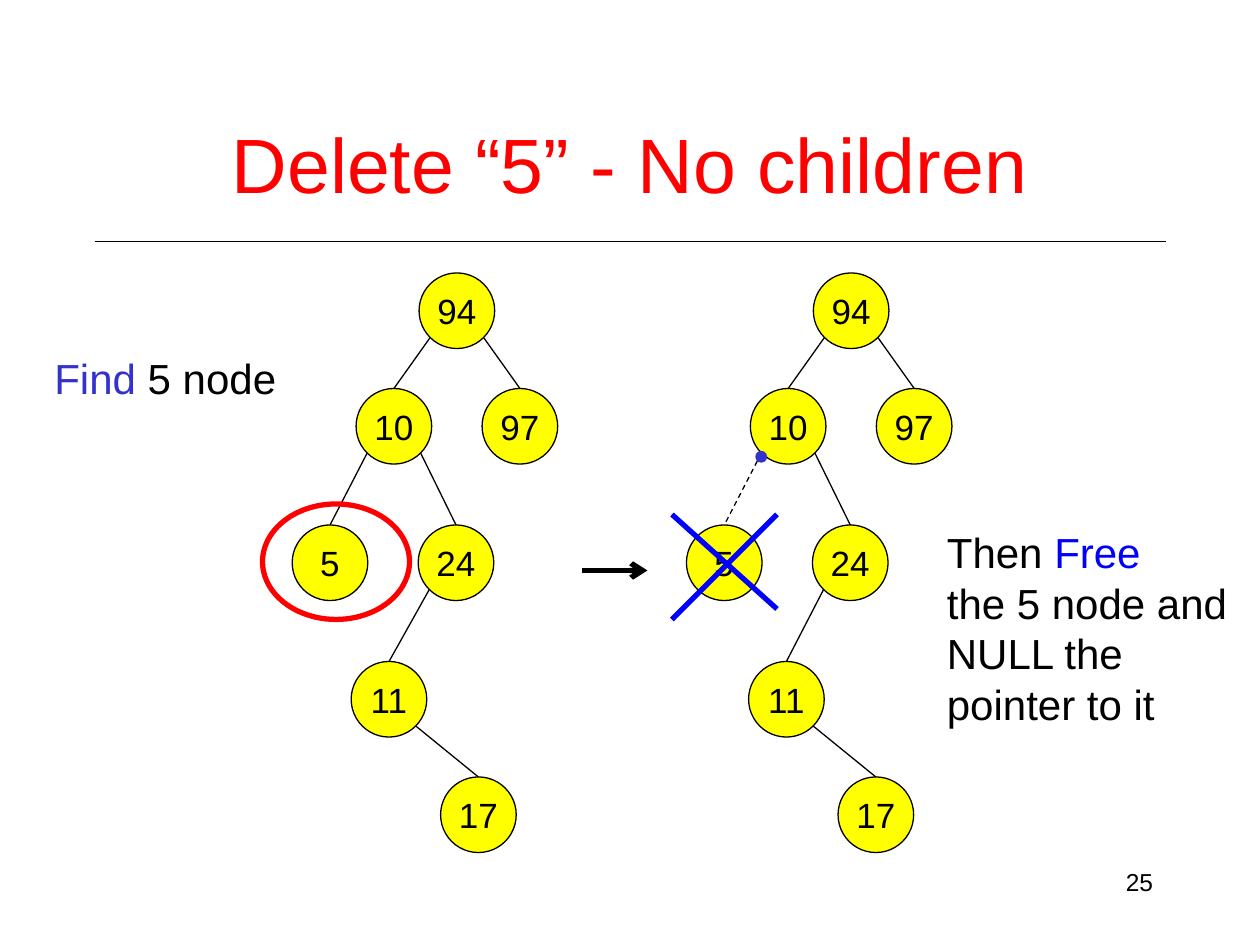
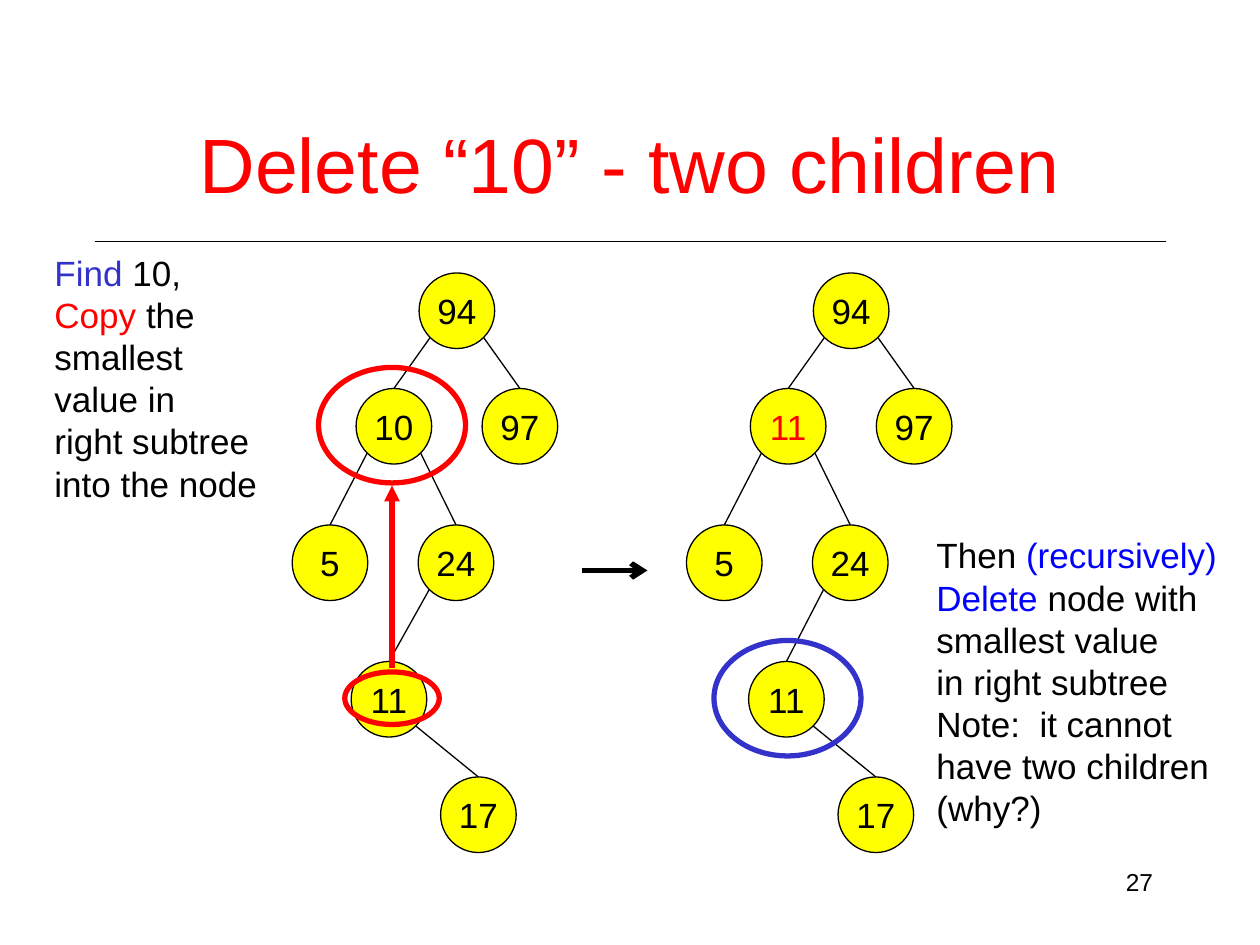
"""Two slides on deleting a node from a binary search tree."""
from dataclasses import dataclass, field
from math import sqrt
from typing import Optional

from lxml import etree
from pptx import Presentation
from pptx import util as u
from pptx.dml import color
from pptx.enum import dml, shapes, text
from pptx.oxml import ns

BLACK, RED, BLUE, INDIGO, YELLOW = "000000", "FF0000", "0000FF", "3333CC", "FFFF00"
FONT = "Arial"
THIN, THICK = 0.75, 3
DIAMETER = 43.2
RIM = DIAMETER / 2 / sqrt(2)
TREE_SHIFT = 225.3


@dataclass(frozen=True)
class Node:
    key: str
    left: float
    top: float
    parent: Optional[str] = None
    side: int = 0


@dataclass(frozen=True)
class Ring:
    left: float
    top: float
    width: float = 84
    height: float = 66
    stroke: str = RED
    fill: Optional[str] = None
    weight: float = THICK


@dataclass(frozen=True)
class Stroke:
    start: tuple[float, float]
    end: tuple[float, float]
    stroke: str = BLACK
    weight: float = THIN
    head: Optional[str] = None
    dashed: bool = False


@dataclass(frozen=True)
class Note:
    left: float
    top: float
    width: float
    height: float
    size: float
    lines: list[list[tuple[str, str]]]


@dataclass(frozen=True)
class Step:
    title: str
    number: str
    notes: list[Note]
    rings: list[Ring]
    strokes: list[Stroke]
    relabelled: dict[str, str] = field(default_factory=dict)
    cut: Optional[str] = None


TREE = [
    Node("94", 239.5, 156),
    Node("10", 203.5, 222, "94", -1),
    Node("97", 275.5, 222, "94", 1),
    Node("5", 167, 300, "10", -1),
    Node("24", 239, 300, "10", 1),
    Node("11", 200.7, 378, "24", -1),
    Node("17", 251.8, 444, "11", 1),
]
LOWER_NUDGE = {"11": 1.8, "17": 1.8}

STEPS = [
    Step(
        "Delete “5” - No children", "25",
        notes=[
            Note(24, 198, 150, 36, 24, [[("Find ", INDIGO), ("5 node", BLACK)]]),
            Note(534, 297.6, 182, 122, 24, [
                [("Then", BLACK), (" Free", BLUE)],
                [("the 5 node and", BLACK)],
                [("NULL the", BLACK)],
                [("pointer to it", BLACK)],
            ]),
        ],
        rings=[Ring(150, 288), Ring(432, 258, 6, 6, INDIGO, INDIGO, THIN)],
        strokes=[
            Stroke((384, 294), (444, 348), BLUE, THICK),
            Stroke((444, 294), (384, 354), BLUE, THICK),
        ],
        cut="5",
    ),
    Step(
        "Delete “10” - two children", "27",
        notes=[
            Note(24, 140.4, 170, 151, 20, [
                [("Find", INDIGO), (" 10,", BLACK)],
                [("Copy ", RED), ("the smallest", BLACK)],
                [("value in", BLACK)],
                [("right subtree", BLACK)],
                [("into the node", BLACK)],
            ]),
            Note(528, 301.6, 182, 175, 20, [
                [("Then", BLACK), (" (recursively)", BLUE)],
                [("Delete ", BLUE), ("node with", BLACK)],
                [("smallest value", BLACK)],
                [("in right subtree", BLACK)],
                [("Note:  it cannot", BLACK)],
                [("have two children", BLACK)],
                [("(why?)", BLACK)],
            ]),
        ],
        rings=[Ring(182, 210), Ring(197, 384, 54, 30), Ring(408, 366, stroke=INDIGO)],
        strokes=[Stroke((224, 382), (224, 277.5), RED, THICK, "triangle")],
        relabelled={"10": "11"},
    ),
]


def rgb(code: str) -> color.RGBColor:
    """Turn a hex string into a colour."""
    return color.RGBColor.from_string(code)


def style_run(run, size: float, ink: str) -> None:
    """Set font, size and colour of a run."""
    run.font.name = FONT
    run.font.size = u.Pt(size)
    run.font.color.rgb = rgb(ink)


def draw_stroke(slide, stroke: Stroke) -> None:
    """Draw a straight line, dashed or with an arrowhead if asked."""
    ends = [u.Pt(value) for value in (*stroke.start, *stroke.end)]
    connector = slide.shapes.add_connector(shapes.MSO_CONNECTOR.STRAIGHT, *ends)
    connector.line.color.rgb = rgb(stroke.stroke)
    connector.line.width = u.Pt(stroke.weight)
    if stroke.dashed:
        connector.line.dash_style = dml.MSO_LINE.DASH
    if stroke.head:
        outline = connector.line._get_or_add_ln()
        etree.SubElement(outline, ns.qn("a:tailEnd"), type=stroke.head)
    etree.SubElement(connector._element.spPr, ns.qn("a:effectLst"))


def draw_ring(slide, ring: Ring):
    """Draw an ellipse, hollow unless it has a fill, and return it."""
    box = [u.Pt(value) for value in (ring.left, ring.top, ring.width, ring.height)]
    oval = slide.shapes.add_shape(shapes.MSO_SHAPE.OVAL, *box)
    oval.shadow.inherit = False
    if ring.fill:
        oval.fill.solid()
        oval.fill.fore_color.rgb = rgb(ring.fill)
    else:
        oval.fill.background()
    oval.line.color.rgb = rgb(ring.stroke)
    oval.line.width = u.Pt(ring.weight)
    return oval


def draw_note(slide, note: Note, align=text.PP_ALIGN.LEFT,
              anchor=text.MSO_ANCHOR.TOP) -> None:
    """Write lines of coloured runs in a text box."""
    box = [u.Pt(value) for value in (note.left, note.top, note.width, note.height)]
    frame = slide.shapes.add_textbox(*box).text_frame
    frame.word_wrap = True
    frame.vertical_anchor = anchor
    for index, line in enumerate(note.lines):
        paragraph = frame.add_paragraph() if index else frame.paragraphs[0]
        paragraph.alignment = align
        for words, ink in line:
            run = paragraph.add_run()
            run.text = words
            style_run(run, note.size, ink)


def draw_node(slide, node: Node, label: str, ink: str) -> None:
    """Draw a tree node with its centred key."""
    disc = draw_ring(slide, Ring(node.left, node.top, DIAMETER, DIAMETER,
                                 BLACK, YELLOW, THIN))
    frame = disc.text_frame
    frame.word_wrap = False
    frame.vertical_anchor = text.MSO_ANCHOR.MIDDLE
    frame.text = label
    frame.paragraphs[0].alignment = text.PP_ALIGN.CENTER
    style_run(frame.paragraphs[0].runs[0], 20, ink)


def draw_tree(slide, nodes: list[Node], relabelled: dict[str, str],
              cut: Optional[str]) -> None:
    """Draw the nodes, then each edge from a parent's rim to a child's top."""
    by_key = {node.key: node for node in nodes}
    for node in nodes:
        ink = RED if node.key in relabelled else BLACK
        draw_node(slide, node, relabelled.get(node.key, node.key), ink)
    for node in nodes:
        if node.parent:
            parent = by_key[node.parent]
            middle = DIAMETER / 2
            start = (parent.left + middle + node.side * RIM, parent.top + middle + RIM)
            end = (node.left + middle, node.top)
            draw_stroke(slide, Stroke(start, end, dashed=node.key == cut))


def draw_frame(slide, step: Step) -> None:
    """Draw the rule, slide number, title and the arrow between the trees."""
    draw_stroke(slide, Stroke((54, 138), (666, 138)))
    draw_note(slide, Note(516, 492, 150, 36, 14, [[(step.number, BLACK)]]),
              text.PP_ALIGN.RIGHT)
    draw_note(slide, Note(54, 48, 612, 90, 44, [[(step.title, RED)]]),
              text.PP_ALIGN.CENTER, text.MSO_ANCHOR.MIDDLE)
    draw_stroke(slide, Stroke((332.5, 326), (370, 326), BLACK, THICK, "arrow"))


def draw_step(deck, step: Step) -> None:
    """Add one slide with the tree before and after the deletion."""
    slide = deck.slides.add_slide(deck.slide_layouts[6])
    draw_frame(slide, step)
    for note in step.notes:
        draw_note(slide, note)
    after = [
        Node(node.key, node.left + TREE_SHIFT + LOWER_NUDGE.get(node.key, 0),
             node.top, node.parent, node.side)
        for node in TREE
    ]
    draw_tree(slide, TREE, {}, None)
    draw_tree(slide, after, step.relabelled, step.cut)
    for stroke in step.strokes:
        draw_stroke(slide, stroke)
    for ring in step.rings:
        draw_ring(slide, ring)


def main() -> None:
    """Build and save the deck."""
    deck = Presentation()
    deck.slide_width, deck.slide_height = u.Pt(720), u.Pt(540)
    for step in STEPS:
        draw_step(deck, step)
    deck.save("out.pptx")


main()
